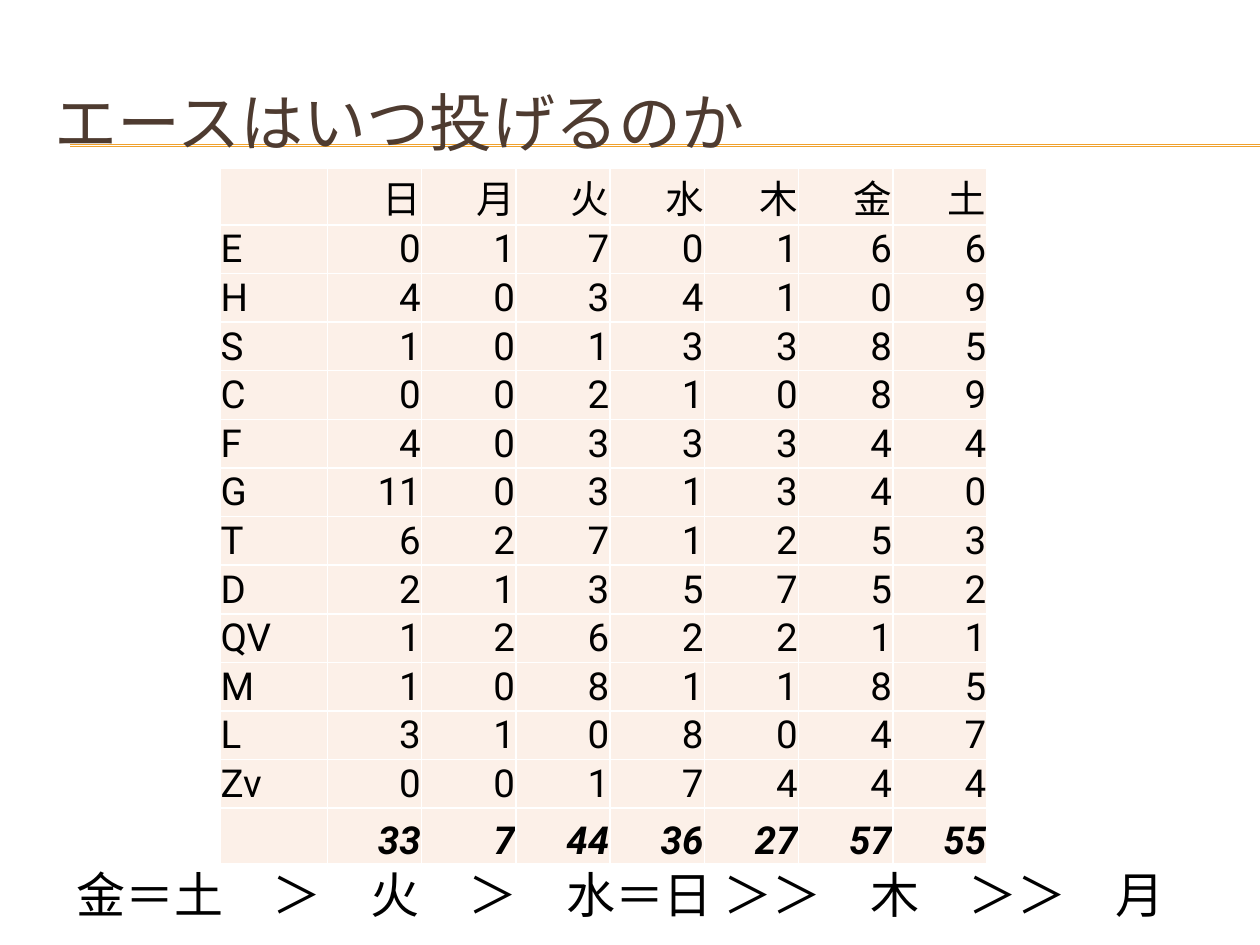
"""Build a slide that counts on which weekday each team's ace pitches."""
from lxml import etree
from pptx import Presentation
from pptx.dml.color import RGBColor
from pptx.enum.shapes import MSO_CONNECTOR
from pptx.enum.text import MSO_ANCHOR, MSO_AUTO_SIZE, PP_ALIGN
from pptx.oxml import parse_xml
from pptx.oxml.ns import nsdecls, qn
from pptx.util import Cm, Pt

STRAIGHT = MSO_CONNECTOR.STRAIGHT
MIDDLE, BOTTOM = MSO_ANCHOR.MIDDLE, MSO_ANCHOR.BOTTOM
LEFT, RIGHT = PP_ALIGN.LEFT, PP_ALIGN.RIGHT
FIT_SHAPE = MSO_AUTO_SIZE.SHAPE_TO_FIT_TEXT
LATIN_FONT, JAPANESE_FONT = "Roboto", "Noto Sans CJK JP"


def color(code):
    return RGBColor.from_string(code)


def write(frame, text, code, align=LEFT, **formats):
    para = frame.paragraphs[0]
    para.alignment = align
    span = para.add_run()
    span.text = text
    span.font.color.rgb = color(code)
    for name, value in {"name": LATIN_FONT, **formats}.items():
        setattr(span.font, name, value)
    east_asian = etree.SubElement(span.font._element, qn("a:ea"))
    east_asian.set("typeface", JAPANESE_FONT)


DAYS = ["日", "月", "火", "水", "木", "金", "土"]
STARTS = {
    "E": [0, 1, 7, 0, 1, 6, 6],
    "H": [4, 0, 3, 4, 1, 0, 9],
    "S": [1, 0, 1, 3, 3, 8, 5],
    "C": [0, 0, 2, 1, 0, 8, 9],
    "F": [4, 0, 3, 3, 3, 4, 4],
    "G": [11, 0, 3, 1, 3, 4, 0],
    "T": [6, 2, 7, 1, 2, 5, 3],
    "D": [2, 1, 3, 5, 7, 5, 2],
    "QV": [1, 2, 6, 2, 2, 1, 1],
    "M": [1, 0, 8, 1, 1, 8, 5],
    "L": [3, 1, 0, 8, 0, 4, 7],
    "Zv": [0, 0, 1, 7, 4, 4, 4],
}
totals = [sum(day) for day in zip(*STARTS.values())]
rows = [["", *DAYS], *([team, *counts] for team, counts in STARTS.items()), ["", *totals]]
last = len(rows) - 1

deck = Presentation()
deck.slide_width, deck.slide_height = Cm(25.4), Cm(19.05)
page = deck.slides.add_slide(deck.slide_layouts[5])

title = page.shapes.title
title.left, title.top, title.width, title.height = Cm(0.84), Cm(1.27), Cm(24.13), Cm(2.34)
title.text_frame.vertical_anchor = MIDDLE
write(title.text_frame, "エースはいつ投げるのか", "4E3B30", size=Pt(36))

for height in (2.92, 2.95):
    rule = page.shapes.add_connector(STRAIGHT, Cm(1.42), Cm(height), Cm(25.4), Cm(height))
    rule.line.color.rgb = color("F0A22E")
    rule.line.width = Pt(0.75)
    etree.SubElement(rule.element.spPr, qn("a:effectLst"))
rule.element.addnext(title.element)

table = page.shapes.add_table(
    len(rows), len(rows[0]), Cm(4.43), Cm(3.39), Cm(15.47), Cm(14.04)).table
table.first_row = table.horz_banding = False
for index, column in enumerate(table.columns):
    column.width = Cm(1.9) if index else Cm(2.17)
for index, row in enumerate(table.rows):
    row.height = Cm(1.12) if index in (0, last) else Cm(0.98)

for row_index, values in enumerate(rows):
    for column_index, value in enumerate(values):
        cell = table.cell(row_index, column_index)
        cell.fill.solid()
        cell.fill.fore_color.rgb = color("FCF0E8")
        cell.margin_left = cell.margin_right = cell.margin_top = Cm(0.02)
        cell.margin_bottom = 0
        cell.vertical_anchor = BOTTOM if row_index == last else MIDDLE
        for position, side in enumerate(("lnL", "lnR", "lnT", "lnB")):
            cell._tc.tcPr.insert(position, parse_xml(
                f'<a:{side} {nsdecls("a")} w="12700"><a:solidFill>'
                f'<a:srgbClr val="FFFFFF"/></a:solidFill></a:{side}>'))
        if value != "":
            write(cell.text_frame, str(value), "000000", RIGHT if column_index else LEFT,
                  size=Pt(22), bold=row_index == last, italic=row_index == last,
                  name=LATIN_FONT if row_index else JAPANESE_FONT)

box = page.shapes.add_textbox(Cm(1.3), Cm(17.3), Cm(22.71), Cm(1.45))
box.text_frame.word_wrap = False
box.text_frame.auto_size = FIT_SHAPE
write(box.text_frame, "金＝土　＞　火　＞　水＝日 ＞＞　木　＞＞　月", "000000", size=Pt(28))

deck.save("out.pptx")
